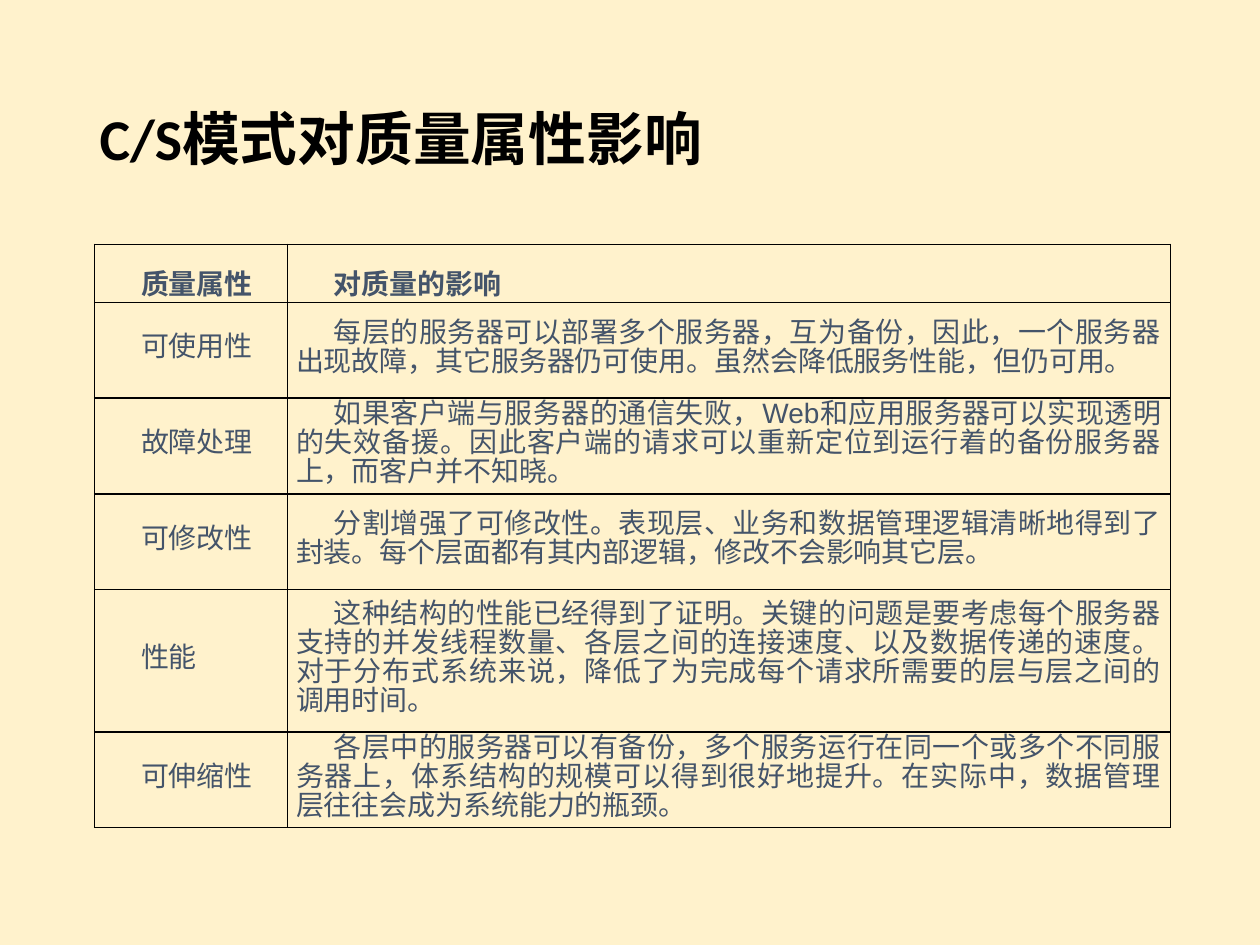
"""Build a slide with a table of how the C/S pattern affects quality attributes."""
from dataclasses import dataclass

from lxml import etree
from pptx import Presentation
from pptx import util as u
from pptx.dml.color import RGBColor
from pptx.enum import text
from pptx.oxml import ns

COLORS = {"background": "FFF2CC", "title": "000000", "body": "44546A", "border": "000000"}


@dataclass
class Quality:
    attribute: str
    impact: str
    height: float = 0.76
    heading: bool = False


QUALITIES = [
    Quality("质量属性", "对质量的影响", height=0.46, heading=True),
    Quality("可使用性", "每层的服务器可以部署多个服务器，互为备份，因此，一个服务器出现故障，"
            "其它服务器仍可使用。虽然会降低服务性能，但仍可用。"),
    Quality("故障处理", "如果客户端与服务器的通信失败，Web和应用服务器可以实现透明的失效备援。"
            "因此客户端的请求可以重新定位到运行着的备份服务器上，而客户并不知晓。"),
    Quality("可修改性", "分割增强了可修改性。表现层、业务和数据管理逻辑清晰地得到了封装。"
            "每个层面都有其内部逻辑，修改不会影响其它层。"),
    Quality("性能", "这种结构的性能已经得到了证明。关键的问题是要考虑每个服务器支持的并发线程数量、"
            "各层之间的连接速度、以及数据传递的速度。对于分布式系统来说，"
            "降低了为完成每个请求所需要的层与层之间的调用时间。", height=1.13),
    Quality("可伸缩性", "各层中的服务器可以有备份，多个服务运行在同一个或多个不同服务器上，"
            "体系结构的规模可以得到很好地提升。在实际中，数据管理层往往会成为系统能力的瓶颈。"),
]
COLUMN_WIDTHS = [1.53, 7.01]


def style_font(font, name: str, size: float, color: str, bold: bool) -> None:
    font.name, font.size, font.bold = name, u.Pt(size), bold
    font.color.rgb = RGBColor.from_string(COLORS[color])


def add_borders(cell) -> None:
    properties = cell._tc.get_or_add_tcPr()
    for side in ("lnL", "lnR", "lnT", "lnB"):
        line = etree.SubElement(properties, ns.qn(f"a:{side}"), w=str(u.Pt(1)))
        fill = etree.SubElement(line, ns.qn("a:solidFill"))
        etree.SubElement(fill, ns.qn("a:srgbClr"), val=COLORS["border"])


def fill_cell(cell, wording: str, heading: bool) -> None:
    add_borders(cell)
    cell.fill.background()
    cell.margin_left = cell.margin_right = u.Inches(0.07)
    cell.margin_top = cell.margin_bottom = 0
    cell.vertical_anchor = text.MSO_ANCHOR.BOTTOM if heading else text.MSO_ANCHOR.MIDDLE
    paragraph = cell.text_frame.paragraphs[0]
    paragraph.text = wording
    paragraph.alignment = text.PP_ALIGN.JUSTIFY
    paragraph.line_spacing = u.Pt(16.6)
    indent = paragraph._p.get_or_add_pPr()
    indent.set("marL", "0")
    indent.set("indent", str(u.Inches(0.3)))
    style_font(paragraph.runs[0].font, "Arial", 16, "body", heading)


def add_title(slide, wording: str) -> None:
    title = slide.shapes.title
    title.left, title.top = u.Inches(0.69), u.Inches(0.4)
    title.width, title.height = u.Inches(8.62), u.Inches(1.45)
    frame = title.text_frame
    frame.text = wording
    frame.auto_size = text.MSO_AUTO_SIZE.NONE
    frame.vertical_anchor = text.MSO_ANCHOR.MIDDLE
    heading = frame.paragraphs[0]
    heading.alignment = text.PP_ALIGN.LEFT
    heading.line_spacing = 0.9
    style_font(heading.runs[0].font, "Calibri", 33, "title", True)


def add_quality_table(slide) -> None:
    total_height = sum(quality.height for quality in QUALITIES)
    table = slide.shapes.add_table(
        len(QUALITIES), len(COLUMN_WIDTHS), u.Inches(0.75), u.Inches(1.94),
        u.Inches(sum(COLUMN_WIDTHS)), u.Inches(total_height)).table
    table.first_row = table.horz_banding = False
    for column, width in zip(table.columns, COLUMN_WIDTHS):
        column.width = u.Inches(width)
    for row, quality in zip(table.rows, QUALITIES):
        row.height = u.Inches(quality.height)
        for cell, wording in zip(row.cells, (quality.attribute, quality.impact)):
            fill_cell(cell, wording, quality.heading)


def main() -> None:
    deck = Presentation()
    deck.slide_width, deck.slide_height = u.Inches(10), u.Inches(7.5)
    slide = deck.slides.add_slide(deck.slide_layouts[5])
    background = slide.background.fill
    background.solid()
    background.fore_color.rgb = RGBColor.from_string(COLORS["background"])
    add_title(slide, "C/S模式对质量属性影响")
    add_quality_table(slide)
    deck.save("out.pptx")


main()
